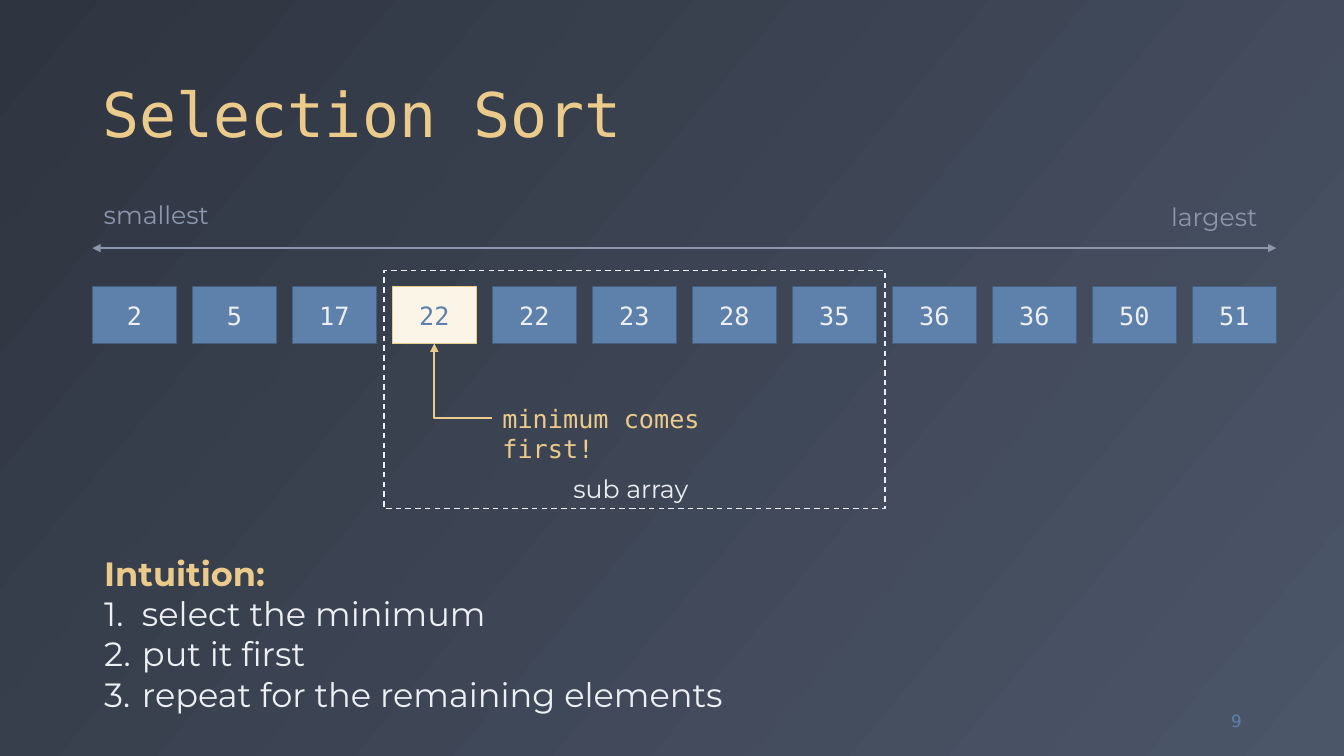
from pptx import Presentation
from pptx.dml.color import RGBColor
from pptx.enum import dml, shapes, text
from pptx.oxml.ns import qn
from pptx.util import Pt
from lxml import etree

C = {"night": "2E3440", "slate": "4C5669", "gold": "EBCB8B", "cream": "FBF5E8",
     "blue": "5E81AC", "edge": "465F7F", "snow": "ECEFF3", "grey": "8C97AC"}
SANS, MONO, NUM = "Montserrat", "DejaVu Sans Mono", "DejaVu Sans"


def add_run(p, words, size, font, color, bold=False):
    r = p.add_run()
    r.text = words
    r.font.size = Pt(size)
    r.font.name = font
    r.font.bold = bold
    r.font.color.rgb = RGBColor.from_string(C[color])


def add_arrow(kind, x1, y1, x2, y2, color, ends):
    cx = s.shapes.add_connector(kind, Pt(x1), Pt(y1), Pt(x2), Pt(y2))
    cx.line.width = Pt(1.5)
    cx.line.color.rgb = RGBColor.from_string(C[color])
    for end in ends:
        etree.SubElement(cx.line._get_or_add_ln(), qn("a:" + end), type="triangle")
    etree.SubElement(cx._element.spPr, qn("a:effectLst"))
    return cx


prs = Presentation()
prs.slide_width, prs.slide_height = Pt(960), Pt(540)
s = prs.slides.add_slide(prs.slide_layouts[1])

fill = s.background.fill
fill.gradient()
fill.gradient_angle = 320
for stop, name in zip(fill.gradient_stops, ("night", "slate")):
    stop.color.rgb = RGBColor.from_string(C[name])

title = s.shapes.title
title.left, title.top, title.width, title.height = Pt(66), Pt(13), Pt(828), Pt(98)
tf = title.text_frame
tf.auto_size = text.MSO_AUTO_SIZE.NONE
tf.vertical_anchor = text.MSO_ANCHOR.BOTTOM
p = tf.paragraphs[0]
p.alignment = text.PP_ALIGN.LEFT
p.line_spacing = 0.9
add_run(p, "Selection Sort", 44, MONO, "gold")

body = s.placeholders[1]
body.left, body.top, body.width, body.height = Pt(67.2), Pt(391), Pt(461.5), Pt(124)
tf = body.text_frame
tf.auto_size = text.MSO_AUTO_SIZE.NONE
tf.vertical_anchor = text.MSO_ANCHOR.TOP
steps = ["Intuition:", "select the minimum", "put it first",
         "repeat for the remaining elements"]
for i, step in enumerate(steps):
    p = tf.add_paragraph() if i else tf.paragraphs[0]
    pPr = p._p.get_or_add_pPr()
    indent = Pt(27) if i else 0
    pPr.set("marL", str(indent))
    pPr.set("indent", str(-indent))
    if i:
        etree.SubElement(pPr, qn("a:buFont"), typeface="+mj-lt")
        etree.SubElement(pPr, qn("a:buAutoNum"), type="arabicPeriod")
    else:
        etree.SubElement(pPr, qn("a:buNone"))
    p.space_before = Pt(0)
    add_run(p, step, 24, SANS, "snow" if i else "gold", bold=not i)

values = [2, 5, 17, 22, 22, 23, 28, 35, 36, 36, 50, 51]
minimum = 3
for i, value in enumerate(values):
    cell_fill, edge, ink = ("cream", "gold", "blue") if i == minimum else ("blue", "edge", "snow")
    sp = s.shapes.add_shape(shapes.MSO_SHAPE.RECTANGLE,
                            Pt(66 + 71.43 * i), Pt(204.6), Pt(60), Pt(40.8))
    sp.shadow.inherit = False
    sp.fill.solid()
    sp.fill.fore_color.rgb = RGBColor.from_string(C[cell_fill])
    sp.line.color.rgb = RGBColor.from_string(C[edge])
    sp.line.width = Pt(1)
    tf = sp.text_frame
    tf.vertical_anchor = text.MSO_ANCHOR.MIDDLE
    p = tf.paragraphs[0]
    p.alignment = text.PP_ALIGN.CENTER
    add_run(p, str(value), 18, MONO, ink)

add_arrow(shapes.MSO_CONNECTOR.STRAIGHT, 66, 177.2, 911.7, 177.2, "grey", ("headEnd", "tailEnd"))

frame = s.shapes.add_shape(shapes.MSO_SHAPE.RECTANGLE, Pt(274.3), Pt(193.4), Pt(358), Pt(170))
frame.shadow.inherit = False
frame.fill.background()
frame.line.color.rgb = RGBColor.from_string(C["snow"])
frame.line.width = Pt(1)
frame.line.dash_style = dml.MSO_LINE.DASH

pointer = add_arrow(shapes.MSO_CONNECTOR.ELBOW, 351.8, 298.8, 310.3, 245.4, "gold", ("tailEnd",))
pointer._element.spPr.find(qn("a:prstGeom")).set("prst", "bentConnector2")

labels = [
    ("largest", 829.4, 140.4, 77, 18, SANS, "grey", False),
    ("smallest", 67, 138.5, 90, 18, SANS, "grey", False),
    ("minimum comes first!", 351.8, 284.4, 211.7, 18, MONO, "gold", True),
    ("sub array", 402.5, 334.4, 100.8, 18, SANS, "snow", False),
    ("9", 834.5, 500.4, 59.5, 12, NUM, "blue", True),
]
for words, x, y, w, size, font, color, wrap in labels:
    tf = s.shapes.add_textbox(Pt(x), Pt(y), Pt(w), Pt(29)).text_frame
    tf.word_wrap = wrap
    p = tf.paragraphs[0]
    if font == NUM:
        tf.vertical_anchor = text.MSO_ANCHOR.MIDDLE
        p.alignment = text.PP_ALIGN.RIGHT
    add_run(p, words, size, font, color)

prs.save("out.pptx")
